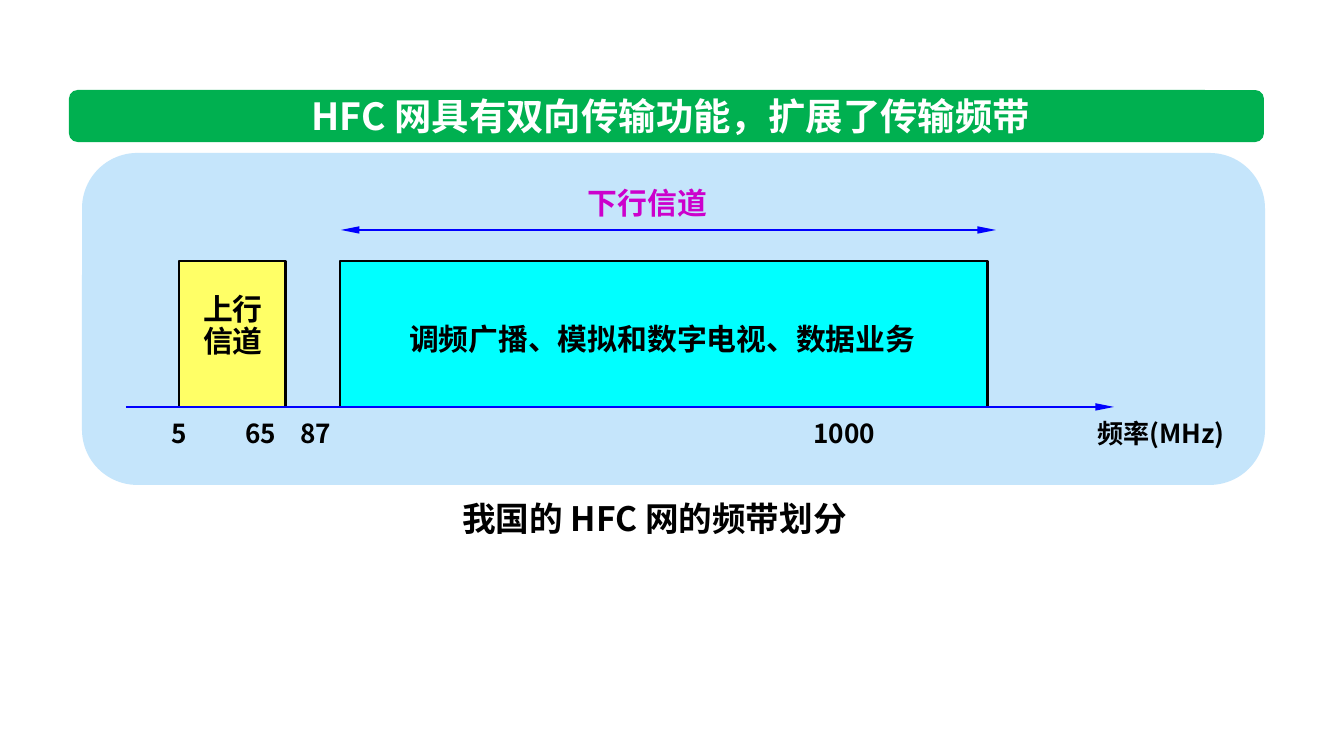
from lxml import etree
from pptx import Presentation
from pptx.dml.color import RGBColor
from pptx.enum.shapes import MSO_CONNECTOR, MSO_SHAPE
from pptx.enum.text import MSO_ANCHOR, MSO_AUTO_SIZE, PP_ALIGN
from pptx.oxml.ns import qn
from pptx.util import Pt

SCALE = 9144000 / 1344  # EMU per px
FONT = "Noto Sans CJK SC"

WHITE = RGBColor(0xFF, 0xFF, 0xFF)
BLACK = RGBColor(0, 0, 0)
GREEN = RGBColor(0x00, 0xB0, 0x50)
PALE = RGBColor(0xC5, 0xE5, 0xFB)
YELLOW = RGBColor(0xFF, 0xFF, 0x66)
CYAN = RGBColor(0, 0xFF, 0xFF)
BLUE = RGBColor(0, 0, 0xFF)
PURPLE = RGBColor(0xCC, 0, 0xCC)

RECT = MSO_SHAPE.RECTANGLE
ROUND = MSO_SHAPE.ROUNDED_RECTANGLE
LINE = MSO_CONNECTOR.STRAIGHT
LEFT, CENTER = PP_ALIGN.LEFT, PP_ALIGN.CENTER
TOP, MIDDLE = MSO_ANCHOR.TOP, MSO_ANCHOR.MIDDLE

BAND_TOP, BAND_H = 261, 146
AXIS_Y = BAND_TOP + BAND_H
TICK_Y = 411


def px(n):
    return round(n * SCALE)


def add_box(slide, kind, box, fill, line=None):
    shape = slide.shapes.add_shape(kind, *map(px, box))
    shape.shadow.inherit = False
    shape.fill.solid()
    shape.fill.fore_color.rgb = fill
    if line is None:
        shape.line.fill.background()
    else:
        shape.line.color.rgb = line
        shape.line.width = Pt(1.5)
    return shape


def add_arrow(slide, x1, x2, y, ends):
    """Draw a level blue line with heads at the named ends."""
    arrow = slide.shapes.add_connector(LINE, px(x1), px(y), px(x2), px(y))
    arrow.line.color.rgb = BLUE
    arrow.line.width = Pt(1.5)
    line = arrow.line._get_or_add_ln()
    for end in ends:
        etree.SubElement(line, qn("a:" + end), type="triangle", w="sm", len="lg")
    etree.SubElement(arrow._element.spPr, qn("a:effectLst"))


def set_tabs(par, stops):
    tabs = etree.SubElement(par._p.get_or_add_pPr(), qn("a:tabLst"))
    for stop in stops:
        etree.SubElement(tabs, qn("a:tab"), pos=str(px(stop)), algn="l")


def write(shape, text, size=16, color=BLACK, align=LEFT, anchor=TOP,
          wrap=True, space=1.0, tabs=()):
    frame = shape.text_frame
    frame.word_wrap = wrap
    frame.auto_size = MSO_AUTO_SIZE.NONE
    frame.vertical_anchor = anchor
    frame.text = text
    for par in frame.paragraphs:
        par.alignment = align
        par.line_spacing = space
        if tabs:
            set_tabs(par, tabs)
        for run in par.runs:
            font = run.font
            font.name, font.size, font.bold = FONT, Pt(size), True
            font.color.rgb = color
            etree.SubElement(run._r.get_or_add_rPr(), qn("a:ea"), typeface=FONT)


def add_text(slide, box, text, **form):
    write(slide.shapes.add_textbox(*map(px, box)), text, **form)


def add_title(slide, text):
    """Put the title on a green band that lies behind it."""
    band = add_box(slide, ROUND, (69, 90, 1195, 52), GREEN)
    title = slide.shapes.title
    title.left, title.top, title.width, title.height = map(px, (184, 90, 974, 52))
    write(title, text, size=20, color=WHITE, align=CENTER, anchor=MIDDLE)
    band._element.addnext(title._element)


def main():
    deck = Presentation()
    deck.slide_width, deck.slide_height = px(1344), px(756)
    slide = deck.slides.add_slide(deck.slide_layouts[5])

    add_title(slide, "HFC 网具有双向传输功能，扩展了传输频带")
    add_box(slide, ROUND, (82, 153, 1183, 332), PALE)

    add_arrow(slide, 341, 996, 230, ("headEnd", "tailEnd"))
    add_text(slide, (566, 176, 163, 54), "下行信道", color=PURPLE,
             align=CENTER, anchor=MIDDLE)

    add_box(slide, RECT, (179, BAND_TOP, 107, BAND_H), YELLOW, BLACK)
    add_text(slide, (190, 288, 101, 79), "上行\n信道", space=0.9)
    add_text(slide, (158, TICK_Y, 913, 46), "5\t65\t87\t1000", size=14,
             tabs=(74, 129, 642))

    add_box(slide, RECT, (340, BAND_TOP, 648, BAND_H), CYAN, BLACK)
    add_text(slide, (396, 314, 540, 50), "调频广播、模拟和数字电视、数据业务",
             wrap=False)

    add_text(slide, (1084, TICK_Y, 163, 46), "频率(MHz)", size=14, wrap=False)
    add_arrow(slide, 126, 1114, AXIS_Y, ("tailEnd",))
    add_text(slide, (430, 491, 449, 54), "我国的 HFC 网的频带划分", size=18,
             align=CENTER)

    deck.save("out.pptx")


if __name__ == "__main__":
    main()
